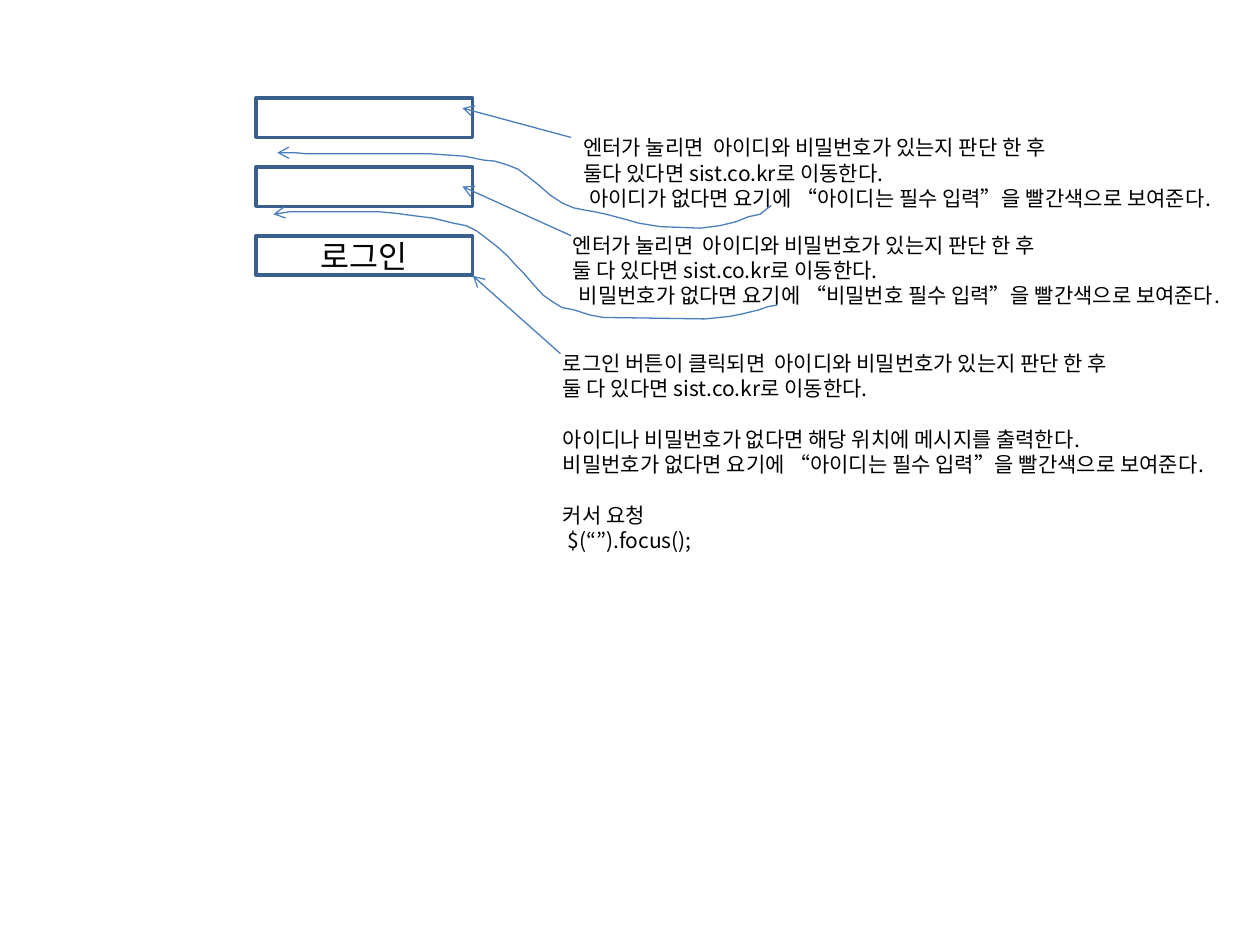
from pptx import Presentation
from pptx.dml.color import RGBColor
from pptx.enum.shapes import MSO_CONNECTOR as Connector, MSO_SHAPE as Shape
from pptx.enum.text import MSO_ANCHOR as Anchor, PP_ALIGN as Align
from pptx.oxml.ns import qn
from pptx.util import Cm, Pt
from lxml.etree import SubElement

FONT = "Noto Sans CJK KR"
LINE_HEIGHT = 14.5
BLUE = "4B7EBC"

ID_NOTE = [
    ("엔터가 눌리면  아이디와 비밀번호가 있는지 판단 한 후", {}),
    ("둘다 있다면 sist.co.kr로 이동한다.", {}),
    ("아이디가 없다면 요기에 “아이디는 필수 입력”을 빨간색으로 보여준다.", {"indent": 0.12}),
]
PASSWORD_NOTE = [
    ("엔터가 눌리면  아이디와 비밀번호가 있는지 판단 한 후", {}),
    ("둘 다 있다면 sist.co.kr로 이동한다.", {}),
    ("비밀번호가 없다면 요기에 “비밀번호 필수 입력”을 빨간색으로 보여준다.", {"indent": 0.12}),
]
LOGIN_NOTE = [
    ("로그인 버튼이 클릭되면  아이디와 비밀번호가 있는지 판단 한 후", {}),
    ("둘 다 있다면 sist.co.kr로 이동한다.", {}),
    ("아이디나 비밀번호가 없다면 해당 위치에 메시지를 출력한다.", {"before": LINE_HEIGHT}),
    ("비밀번호가 없다면 요기에 “아이디는 필수 입력”을 빨간색으로 보여준다.", {}),
    ("커서 요청", {"before": LINE_HEIGHT}),
    (" $(“”).focus();", {}),
]

# Curve points are in hundredths of a centimetre.
ID_CURVE = [
    (996, 109), (973, 127), (950, 132), (925, 142), (892, 150), (853, 155),
    (772, 152), (729, 145), (701, 137), (663, 127), (640, 122), (622, 119),
    (597, 114), (574, 104), (551, 89), (528, 69), (508, 53), (485, 36),
    (465, 28), (439, 20), (417, 18), (378, 10), (305, 5), (58, 5), (36, 3), (0, 3),
]
PASSWORD_CURVE = [
    (1016, 188), (998, 191), (978, 198), (945, 206), (919, 211), (871, 216),
    (665, 213), (638, 208), (607, 198), (582, 193), (561, 180), (544, 168),
    (523, 145), (505, 124), (490, 109), (472, 89), (452, 71), (429, 53),
    (409, 38), (389, 28), (363, 23), (323, 13), (284, 8), (246, 3), (213, 0),
    (33, 0), (0, 5),
]


def color(value):
    return RGBColor.from_string(value)


def set_all(target, values):
    for name, value in values.items():
        setattr(target, name, value)


def style_text(para, size):
    span = para.runs[0]
    set_all(span.font, {"name": FONT, "size": Pt(size)})
    span.font.color.rgb = color("000000")
    SubElement(span.font._element, qn("a:ea"), typeface=FONT)


def style_line(line, value, width):
    line.color.rgb = color(value)
    line.width = Pt(width)


def add_arrowhead(item):
    style_line(item.line, BLUE, 0.75)
    outline = item._element.spPr.find(qn("a:ln"))
    SubElement(outline, qn("a:tailEnd"), type="arrow")


def login_form(page, left, top, width, height):
    field_height = 0.79
    pitch = (height - field_height) / 2
    for row, label in enumerate(["", "", "로그인"]):
        field = page.shapes.add_shape(
            Shape.RECTANGLE, Cm(left), Cm(top + row * pitch), Cm(width), Cm(field_height))
        field.shadow.inherit = False
        field.fill.background()
        style_line(field.line, "3A5F8C", 2)
        if label:
            field.text_frame.vertical_anchor = Anchor.MIDDLE
            para = field.text_frame.paragraphs[0]
            para.text = label
            para.alignment = Align.CENTER
            style_text(para, 18)


def note(page, left, top, width, height, lines, arrow_start, arrow_end):
    box = page.shapes.add_textbox(Cm(left), Cm(top), Cm(width), Cm(height))
    frame = box.text_frame
    frame.word_wrap = True
    for index, (text, gaps) in enumerate(lines):
        para = frame.add_paragraph() if index else frame.paragraphs[0]
        para.text = text
        set_all(para, {"line_spacing": Pt(LINE_HEIGHT), "alignment": Align.LEFT})
        if "before" in gaps:
            para.space_before = Pt(gaps["before"])
        if "indent" in gaps:
            para._p.get_or_add_pPr().set("marL", str(Cm(gaps["indent"])))
        style_text(para, 12)

    (start_x, start_y), (end_x, end_y) = arrow_start, arrow_end
    arrow = page.shapes.add_connector(
        Connector.STRAIGHT, Cm(left + start_x), Cm(top + start_y),
        Cm(left + end_x), Cm(top + end_y))
    add_arrowhead(arrow)
    SubElement(arrow._element.spPr, qn("a:effectLst"))


def message_curve(page, left, top, points):
    builder = page.shapes.build_freeform(*points[0], scale=Cm(0.01))
    builder.add_line_segments(points[1:], close=False)
    curve = builder.convert_to_shape(Cm(left), Cm(top))
    curve.shadow.inherit = False
    curve.fill.background()
    add_arrowhead(curve)


def main():
    deck = Presentation()
    set_all(deck, {"slide_width": Cm(25.4), "slide_height": Cm(19.05)})
    page = deck.slides.add_slide(deck.slide_layouts[6])

    login_form(page, 5.16, 1.98, 4.37, 3.57)
    note(page, 11.51, 2.59, 14.1, 1.8, ID_NOTE, (0, 0.18), (-2.19, -0.41))
    note(page, 11.3, 4.55, 14.1, 1.8, PASSWORD_NOTE, (0.21, 0.2), (-1.98, -0.79))
    note(page, 11.1, 6.93, 14.3, 5.38, LOGIN_NOTE, (0.2, 0.2), (-1.57, -1.37))
    message_curve(page, 5.59, 3.05, ID_CURVE)
    message_curve(page, 5.51, 4.27, PASSWORD_CURVE)

    deck.save("out.pptx")


if __name__ == "__main__":
    main()
